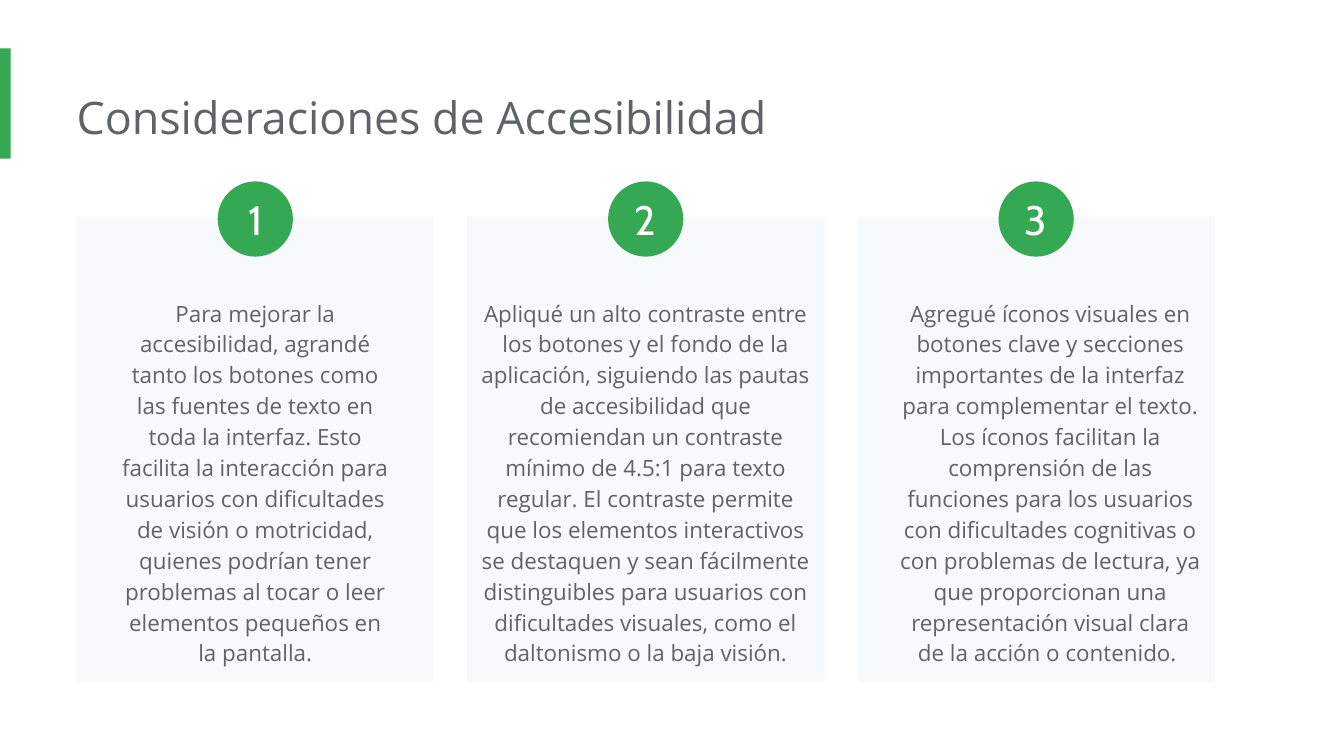
from pptx import Presentation
from pptx.dml.color import RGBColor
from pptx.enum.shapes import MSO_SHAPE as Shape
from pptx.enum.text import MSO_ANCHOR as Anchor, PP_ALIGN as Align
from pptx.util import Inches, Pt

TITLE = "Consideraciones de Accesibilidad"
CARDS = [
    {"text": "Para mejorar la accesibilidad, agrandé tanto los botones como las fuentes "
             "de texto en toda la interfaz. Esto facilita la interacción para usuarios con "
             "dificultades de visión o motricidad, quienes podrían tener problemas al tocar "
             "o leer elementos pequeños en la pantalla.",
     "inset_left": 0.21, "inset_right": 0.21},
    {"text": "Apliqué un alto contraste entre los botones y el fondo de la aplicación, "
             "siguiendo las pautas de accesibilidad que recomiendan un contraste mínimo de "
             "4.5:1 para texto regular. El contraste permite que los elementos interactivos "
             "se destaquen y sean fácilmente distinguibles para usuarios con dificultades "
             "visuales, como el daltonismo o la baja visión.",
     "inset_left": 0, "inset_right": 0},
    {"text": "Agregué íconos visuales en botones clave y secciones importantes de la "
             "interfaz para complementar el texto. Los íconos facilitan la comprensión de "
             "las funciones para los usuarios con dificultades cognitivas o con problemas "
             "de lectura, ya que proporcionan una representación visual clara de la acción "
             "o contenido. ",
     "inset_left": 0.21, "inset_right": 0},
]

GREEN, GRAY, PALE, WHITE = "34A853", "5F6368", "F8F9FA", "FFFFFF"
SLIDE_WIDTH = 10
SLIDE_HEIGHT = SLIDE_WIDTH * 9 / 16
MARGIN, LAST_LEFT = 0.57, 6.38
CARD_PITCH = (LAST_LEFT - MARGIN) / (len(CARDS) - 1)
CARD_TOP, CARD_WIDTH, CARD_HEIGHT = 1.61, 2.66, 3.47
BODY_TOP, BODY_HEIGHT = 2.1, 2.96
BADGE_TOP, BADGE_SIZE = 1.35, 0.56


def color(value):
    return RGBColor.from_string(value)


def add_block(slide, kind, box, fill):
    shape = slide.shapes.add_shape(kind, *map(Inches, box))
    shape.shadow.inherit = False
    shape.fill.solid()
    shape.fill.fore_color.rgb = color(fill)
    shape.line.fill.background()
    return shape


def write(shape, text, size, font, fill, align=Align.LEFT, spacing=None,
          insets=(0.1, 0.1, 0.1, 0.1), anchor=Anchor.TOP):
    frame = shape.text_frame
    frame.text = text
    frame.word_wrap = True
    frame.vertical_anchor = anchor
    (frame.margin_left, frame.margin_top,
     frame.margin_right, frame.margin_bottom) = map(Inches, insets)
    paragraph = frame.paragraphs[0]
    paragraph.alignment = align
    paragraph.line_spacing = spacing
    for run in paragraph.runs:
        run.font.size = Pt(size)
        run.font.name = font
        run.font.color.rgb = color(fill)


def add_text(slide, box, *content, **layout):
    write(slide.shapes.add_textbox(*map(Inches, box)), *content, **layout)


def add_card(slide, index, card):
    left = MARGIN + index * CARD_PITCH
    add_block(slide, Shape.RECTANGLE, (left, CARD_TOP, CARD_WIDTH, CARD_HEIGHT), PALE)
    body_width = CARD_WIDTH - card["inset_left"] - card["inset_right"]
    add_text(slide, (left + card["inset_left"], BODY_TOP, body_width, BODY_HEIGHT),
             card["text"], 12, "Open Sans", GRAY, align=Align.CENTER, spacing=1.15)


def add_badge(slide, index):
    left = MARGIN + index * CARD_PITCH + (CARD_WIDTH - BADGE_SIZE) / 2
    badge = add_block(slide, Shape.OVAL, (left, BADGE_TOP, BADGE_SIZE, BADGE_SIZE), GREEN)
    write(badge, str(index + 1), 22, "Cabin", WHITE, align=Align.CENTER,
          insets=(0, 0, 0, 0), anchor=Anchor.MIDDLE)


def main():
    presentation = Presentation()
    presentation.slide_width = Inches(SLIDE_WIDTH)
    presentation.slide_height = Inches(SLIDE_HEIGHT)
    slide = presentation.slides.add_slide(presentation.slide_layouts[6])
    add_block(slide, Shape.RECTANGLE, (0, 0.36, 0.08, 0.82), GREEN)
    add_text(slide, (MARGIN, 0.57, 7.66, 0.61), TITLE, 24, "Open Sans", GRAY,
             insets=(0, 0.1, 0.1, 0.1))
    for index, card in enumerate(CARDS):
        add_card(slide, index, card)
    for index in range(len(CARDS)):
        add_badge(slide, index)
    presentation.save("out.pptx")


if __name__ == "__main__":
    main()
